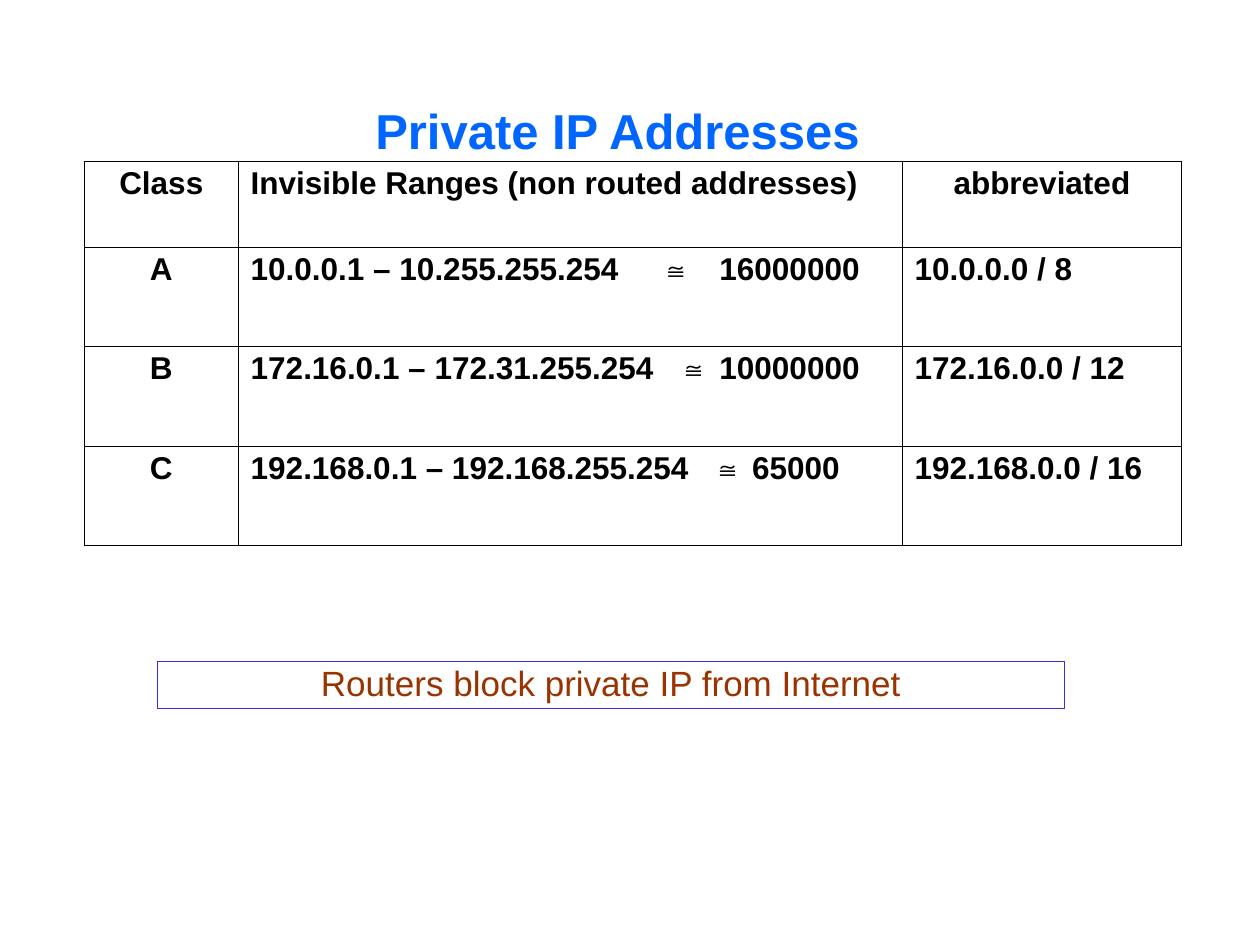
from dataclasses import dataclass

from lxml.etree import SubElement
from pptx import Presentation
from pptx.dml.color import RGBColor
from pptx.enum.shapes import MSO_SHAPE as Shape
from pptx.enum.text import MSO_ANCHOR as Anchor, MSO_AUTO_SIZE as AutoSize, PP_ALIGN as Align
from pptx.oxml.ns import qn
from pptx.util import Inches, Pt


@dataclass(frozen=True)
class Theme:
    """Colours, font and type sizes of the slide."""
    font: str = "Arial"
    title: str = "0066FF"
    ink: str = "000000"
    note: str = "993300"
    frame: str = "382BE7"
    title_size: int = 28
    table_size: int = 18
    note_size: int = 20
    rule: float = 0.45
    frame_width: float = 0.75


THEME = Theme()
WIDTH, HEIGHT = Inches(10), Inches(7.5)
COLUMNS = (1.22, 5.27, 2.22)
ROWS = (0.68, 0.79, 0.79, 0.79)
HEADER = ("Class", "Invisible Ranges (non routed addresses)", "abbreviated")
RANGES = (
    ("A", "10.0.0.1 – 10.255.255.254\t≅\t16000000", "10.0.0.0 / 8"),
    ("B", "172.16.0.1 – 172.31.255.254\t≅\t10000000", "172.16.0.0 / 12"),
    ("C", "192.168.0.1 – 192.168.255.254\t≅ 65000", "192.168.0.0 / 16"),
)
COUNT_TABS = ((3.25, 3.72), (3.39, 3.72), (3.66,))


def area(left, top, width, height):
    """Turn shares of the slide's size into a position and size."""
    return int(left * WIDTH), int(top * HEIGHT), int(width * WIDTH), int(height * HEIGHT)


def write(frame, text, *, size, color, bold=False, align=Align.LEFT, spacing=1.0,
          margins=(0.1, 0.05), tabs=()):
    """Put one formatted paragraph into a text frame."""
    frame.word_wrap = True
    frame.margin_left = frame.margin_right = Inches(margins[0])
    frame.margin_top = frame.margin_bottom = Inches(margins[1])
    paragraph = frame.paragraphs[0]
    paragraph.alignment = align
    paragraph.line_spacing = spacing
    if tabs:
        stops = SubElement(paragraph._p.get_or_add_pPr(), qn("a:tabLst"))
        for stop in tabs:
            SubElement(stops, qn("a:tab"), pos=str(Inches(stop)), algn="l")
    run = paragraph.add_run()
    run.text = text
    run.font.name = THEME.font
    run.font.size = Pt(size)
    run.font.bold = bold
    run.font.color.rgb = RGBColor.from_string(color)


def outline_cell(cell):
    """Draw a thin rule on all four sides of an unfilled cell."""
    properties = cell._tc.get_or_add_tcPr()
    for side in ("a:lnL", "a:lnR", "a:lnT", "a:lnB"):
        rule = SubElement(properties, qn(side), w=str(Pt(THEME.rule)))
        fill = SubElement(rule, qn("a:solidFill"))
        SubElement(fill, qn("a:srgbClr"), val=THEME.ink)
    cell.fill.background()


def add_title(slide, text, place):
    """Move the title placeholder and write the heading."""
    title = slide.shapes.title
    title.left, title.top, title.width, title.height = place
    title.text_frame.auto_size = AutoSize.NONE
    title.text_frame.vertical_anchor = Anchor.TOP
    write(title.text_frame, text, size=THEME.title_size, color=THEME.title,
          bold=True, align=Align.CENTER)


def add_address_table(slide, place):
    """Add the table of private ranges by class."""
    table = slide.shapes.add_table(len(ROWS), len(COLUMNS), *place).table
    table.first_row = table.horz_banding = False
    for column, width in zip(table.columns, COLUMNS):
        column.width = Inches(width)
    for row, height in zip(table.rows, ROWS):
        row.height = Inches(height)
    for r, entries in enumerate((HEADER, *RANGES)):
        for c, entry in enumerate(entries):
            cell = table.cell(r, c)
            centred = c == 0 or (r == 0 and c == 2)
            write(cell.text_frame, entry, size=THEME.table_size, color=THEME.ink,
                  bold=True, align=Align.CENTER if centred else Align.LEFT,
                  spacing=0.95, tabs=COUNT_TABS[r - 1] if r and c == 1 else ())
            outline_cell(cell)


def add_note(slide, text, place):
    """Add a framed remark."""
    note = slide.shapes.add_shape(Shape.RECTANGLE, *place)
    note.shadow.inherit = False
    note.fill.background()
    note.line.color.rgb = RGBColor.from_string(THEME.frame)
    note.line.width = Pt(THEME.frame_width)
    note.text_frame.vertical_anchor = Anchor.TOP
    write(note.text_frame, text, size=THEME.note_size, color=THEME.note,
          align=Align.CENTER, spacing=0.9, margins=(0.09, 0.04))


def main():
    """Build and save the slide."""
    deck = Presentation()
    deck.slide_width, deck.slide_height = WIDTH, HEIGHT
    slide = deck.slides.add_slide(deck.slide_layouts[5])
    add_title(slide, "Private IP Addresses", area(0.17, 0.1, 0.64, 0.08))
    add_address_table(slide, (Inches(0.67), Inches(1.28), Inches(sum(COLUMNS)), Inches(sum(ROWS))))
    add_note(slide, "Routers block private IP from Internet", area(0.125, 0.7, 0.72, 0.05))
    deck.save("out.pptx")


if __name__ == "__main__":
    main()
